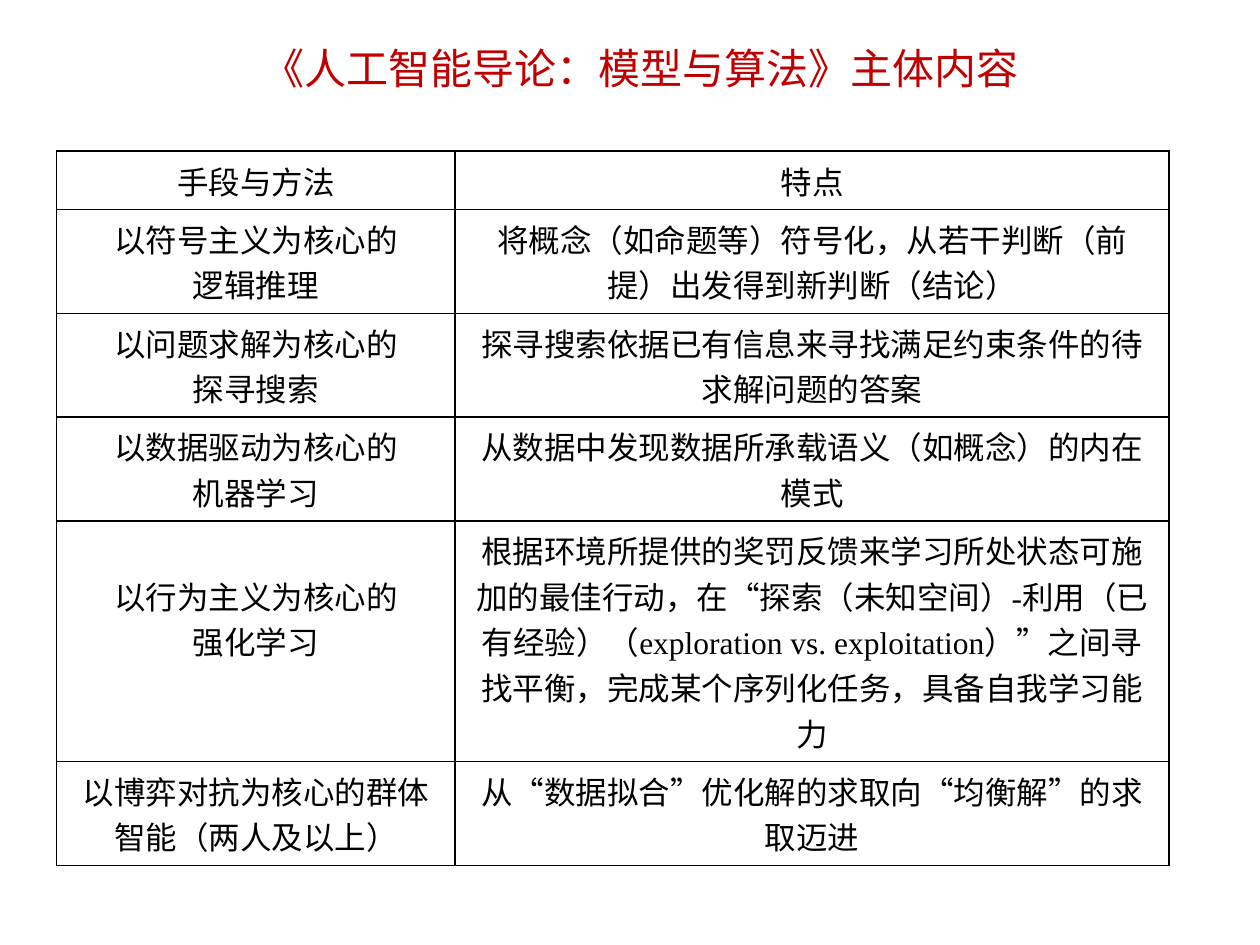
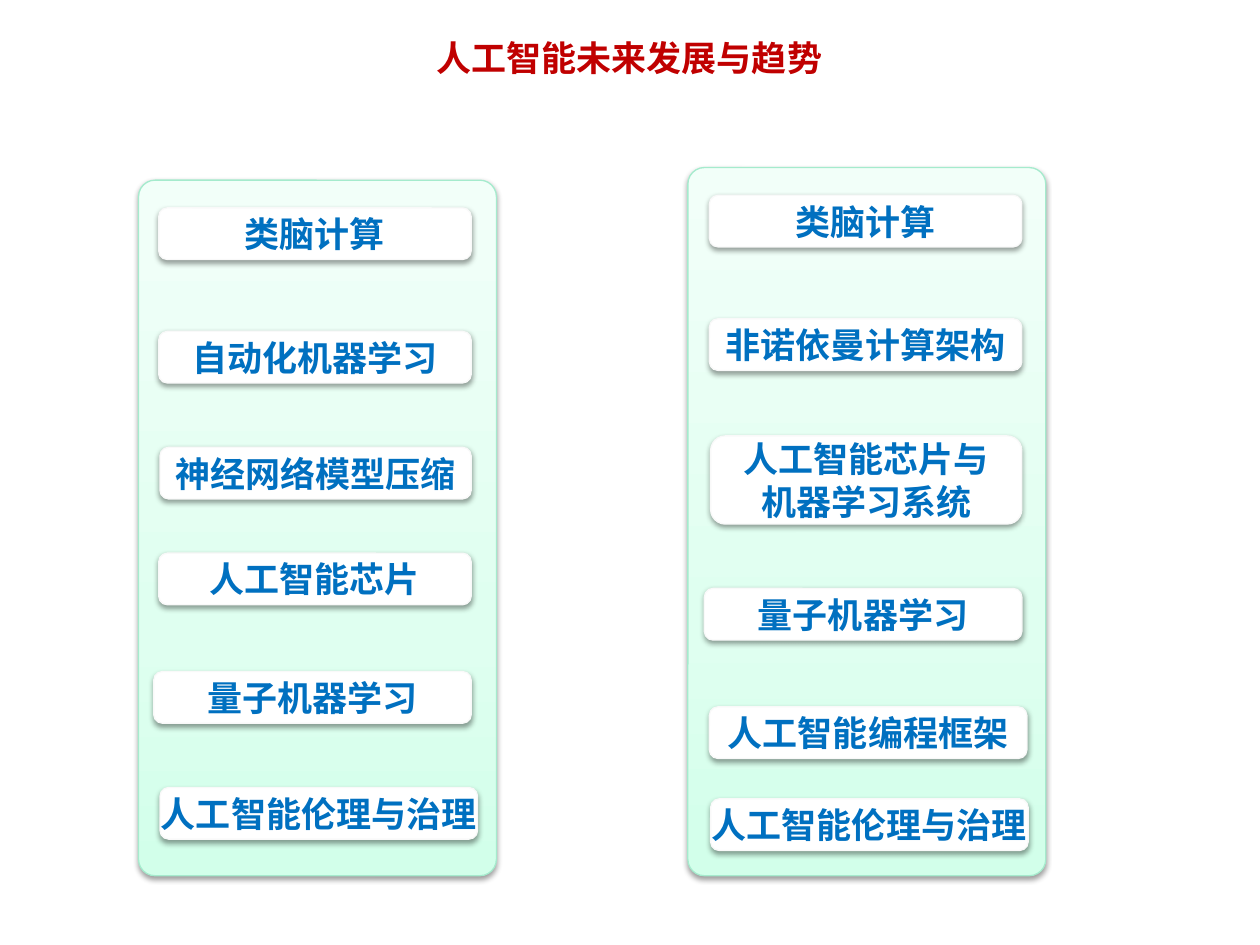
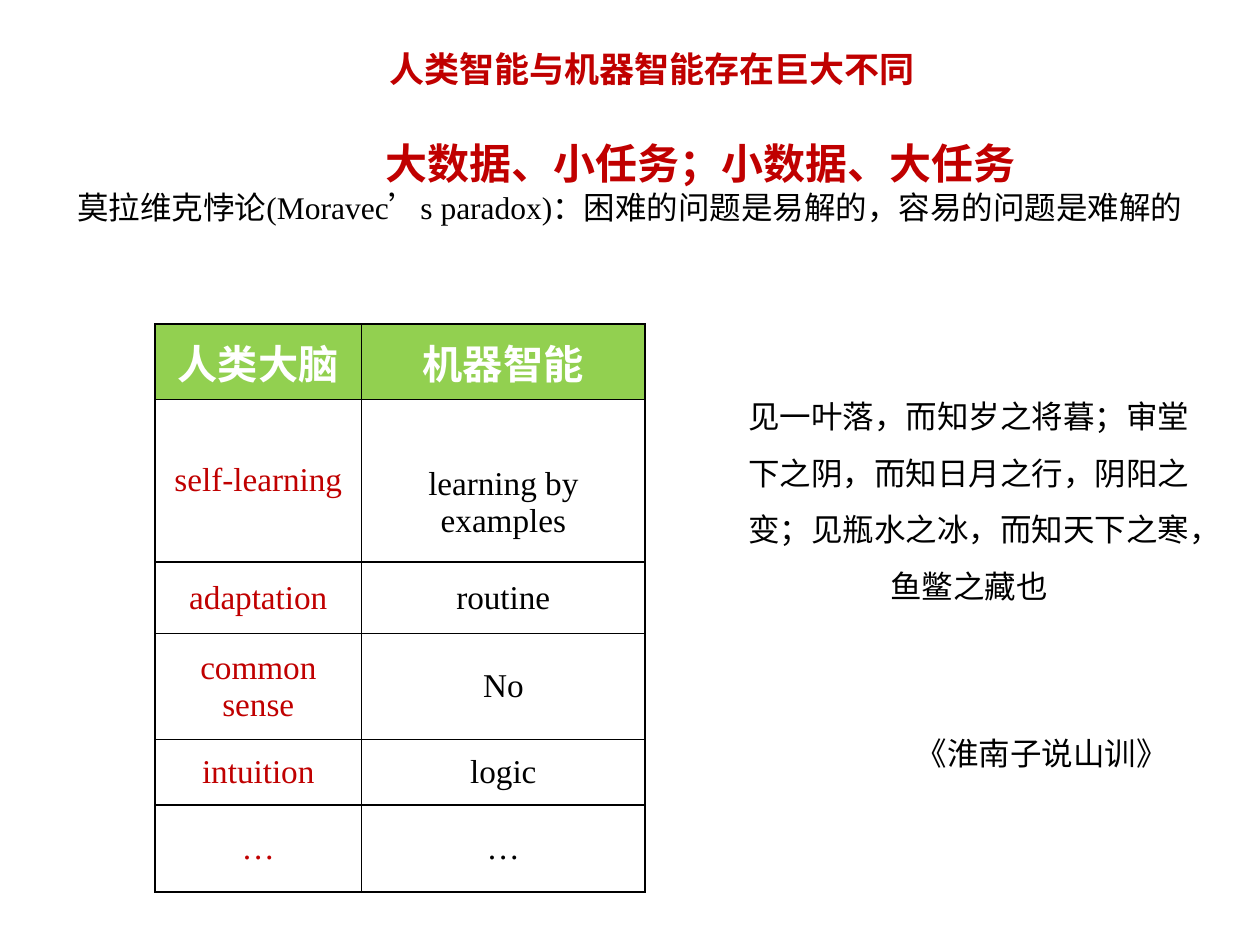
from copy import deepcopy
from dataclasses import dataclass

from pptx import Presentation
from pptx.dml.color import RGBColor
from pptx.enum.shapes import MSO_SHAPE
from pptx.enum.text import MSO_ANCHOR, MSO_AUTO_SIZE, PP_ALIGN
from pptx.oxml import parse_xml
from pptx.oxml.ns import nsdecls, qn
from pptx.util import Emu, Pt

SCALE = 9144  # EMU in one px, at 100 px to the inch


@dataclass(frozen=True)
class Theme:
    red: str = "C00000"
    blue: str = "0070C0"
    black: str = "000000"
    white: str = "FFFFFF"
    green: str = "92D050"
    edge: str = "F9F9F9"
    mint: str = "A5EBCD"
    fade: tuple = ((0, "D2FFEA"), (0.35, "DFFFF0"), (1, "F2FFF9"))
    latin: str = "Times New Roman"
    asian: str = "Noto Sans CJK SC"
    big: int = 24
    head: int = 23
    mid: int = 20
    cell: int = 19
    body: int = 18


THEME = Theme()

METHODS = [
    ("手段与方法", "特点"),
    ("以符号主义为核心的\n逻辑推理",
     "将概念（如命题等）符号化，从若干判断（前提）出发得到新判断（结论）"),
    ("以问题求解为核心的\n探寻搜索",
     "探寻搜索依据已有信息来寻找满足约束条件的待求解问题的答案"),
    ("以数据驱动为核心的\n机器学习",
     "从数据中发现数据所承载语义（如概念）的内在模式"),
    ("以行为主义为核心的\n强化学习",
     "根据环境所提供的奖罚反馈来学习所处状态可施加的最佳行动，"
     "在“探索（未知空间）-利用（已有经验）"
     "（exploration vs. exploitation）”之间寻找平衡，"
     "完成某个序列化任务，具备自我学习能力"),
    ("以博弈对抗为核心的群体智能（两人及以上）",
     "从“数据拟合”优化解的求取向“均衡解”的求取迈进"),
]

MINDS = [
    ("人类大脑", "机器智能"),
    ("self-learning", "learning by examples"),
    ("adaptation", "routine"),
    ("common sense", "No"),
    ("intuition", "logic"),
    ("…", "…"),
]

# Each topic: text, left, top, width, height
TOPICS = [
    ("类脑计算", 126, 165, 248, 41),
    ("自动化机器学习", 126, 263, 248, 41),
    ("神经网络模型压缩", 127, 355, 247, 41),
    ("人工智能芯片", 126, 439, 248, 41),
    ("量子机器学习", 122, 533, 252, 41),
    ("人工智能伦理与治理", 127, 625, 252, 41),
    ("类脑计算", 563, 155, 248, 41),
    ("非诺依曼计算架构", 563, 253, 248, 41),
    ("人工智能芯片与\n机器学习系统", 564, 346, 247, 70),
    ("量子机器学习", 559, 467, 252, 41),
    ("人工智能编程框架", 563, 561, 252, 41),
    ("人工智能伦理与治理", 564, 634, 252, 41),
]


def px(count):
    return Emu(count * SCALE)


def rgb(code):
    return RGBColor.from_string(code)


def style(para, size, color, bold=False, face=THEME.latin, align=PP_ALIGN.CENTER):
    para.alignment = align
    for run in para.runs:
        font = run.font
        font.size, font.bold, font.name = Pt(size), bold, face
        font.color.rgb = rgb(color)
        asian = parse_xml(f'<a:ea {nsdecls("a")} typeface="{THEME.asian}"/>')
        run.font._element.find(qn("a:latin")).addnext(asian)


def write(frame, text, *look, **more):
    frame.text = text
    for para in frame.paragraphs:
        style(para, *look, **more)


def place(shape, left, top, width, height):
    shape.left, shape.top = px(left), px(top)
    shape.width, shape.height = px(width), px(height)


def add_page(deck, title, spot, size, bold=True, inset=16, spacing=0.9):
    """Add a title-only slide and format its title."""
    page = deck.slides.add_slide(deck.slide_layouts[5])
    shape = page.shapes.title
    place(shape, *spot)
    frame = shape.text_frame
    write(frame, title, size, THEME.red, bold)
    frame.auto_size = MSO_AUTO_SIZE.NONE
    frame.vertical_anchor = MSO_ANCHOR.MIDDLE
    frame.margin_top = px(inset)
    frame.paragraphs[0].line_spacing = spacing
    return page


def add_text(page, spot, text, *look, wrap=True, **more):
    box = page.shapes.add_textbox(*map(px, spot))
    box.text_frame.word_wrap = wrap
    write(box.text_frame, text, *look, **more)
    return box.text_frame


def edge_cell(cell):
    """Draw a one-point black border on all four sides."""
    props = cell._tc.get_or_add_tcPr()
    for spot, side in enumerate("LRTB"):
        props.insert(spot, parse_xml(
            f'<a:ln{side} {nsdecls("a")} w="12700"><a:solidFill>'
            f'<a:srgbClr val="{THEME.black}"/></a:solidFill></a:ln{side}>'))


def add_grid(page, left, top, widths, heights, rows, look):
    """Add a bordered table; look(row, col) gives fill, size, colour and bold."""
    table = page.shapes.add_table(
        len(rows), len(widths), px(left), px(top),
        px(sum(widths)), px(sum(heights))).table
    table.first_row = table.horz_banding = False
    for col, width in zip(table.columns, widths):
        col.width = px(width)
    for row, height in zip(table.rows, heights):
        row.height = px(height)
    for r, texts in enumerate(rows):
        for c, text in enumerate(texts):
            cell = table.cell(r, c)
            fill, *font = look(r, c)
            write(cell.text_frame, text, *font)
            if fill:
                cell.fill.solid()
                cell.fill.fore_color.rgb = rgb(fill)
            else:
                cell.fill.background()
            edge_cell(cell)
    return table


def add_card(page, spot, edge):
    """Add a rounded box with a thin edge and a soft shadow below it."""
    card = page.shapes.add_shape(MSO_SHAPE.ROUNDED_RECTANGLE, *map(px, spot))
    card.line.color.rgb = rgb(edge)
    card.line.width = Pt(0.75)
    card.shadow.inherit = False
    card._element.spPr.find(qn("a:effectLst")).append(parse_xml(
        f'<a:outerShdw {nsdecls("a")} blurRad="40000" dist="20000" '
        f'dir="5400000" rotWithShape="0"><a:srgbClr val="{THEME.black}">'
        '<a:alpha val="38000"/></a:srgbClr></a:outerShdw>'))
    return card


def add_panel(page, *spot):
    panel = add_card(page, spot, THEME.mint)
    panel.adjustments[0] = 0.046
    panel.fill.gradient()
    panel.fill.gradient_angle = 90
    stops = panel._element.spPr.find(".//" + qn("a:gsLst"))
    stops.append(deepcopy(stops[0]))
    for stop, (spot, color) in zip(panel.fill.gradient_stops, THEME.fade):
        stop.position = spot
        stop.color.rgb = rgb(color)


def add_topic(page, text, *spot):
    card = add_card(page, spot, THEME.edge)
    card.fill.solid()
    card.fill.fore_color.rgb = rgb(THEME.white)
    frame = card.text_frame
    write(frame, text, THEME.mid, THEME.blue, True)
    frame.word_wrap = False
    frame.vertical_anchor = MSO_ANCHOR.MIDDLE
    frame.margin_top = frame.margin_bottom = 0


def method_look(row, col):
    return None, THEME.body, THEME.black


def mind_look(row, col):
    if row == 0:
        return THEME.green, THEME.head, THEME.white, True
    return None, THEME.cell, THEME.black if col else THEME.red


def show_methods(deck):
    page = add_page(deck, "《人工智能导论：模型与算法》主体内容",
                    (51, 15, 915, 72), THEME.big, bold=False)
    table = add_grid(page, 45, 120, (316, 567), (45, 79, 79, 79, 180, 79),
                     METHODS, method_look)
    table.cell(4, 0).margin_top = px(41)


def show_trends(deck):
    page = add_page(deck, "人工智能未来发展与趋势", (5, 0, 989, 91),
                    THEME.mid, inset=5, spacing=1.0)
    add_panel(page, 110, 143, 284, 552)
    add_panel(page, 546, 133, 284, 562)
    for topic in TOPICS:
        add_topic(page, *topic)


def show_minds(deck):
    page = add_page(deck, "人类智能与机器智能存在巨大不同",
                    (60, 15, 915, 72), THEME.mid)
    table = add_grid(page, 123, 257, (164, 225), (60, 129, 57, 84, 52, 69),
                     MINDS, mind_look)
    for cell in table.iter_cells():
        cell.vertical_anchor = MSO_ANCHOR.MIDDLE
    table.cell(1, 1).margin_top = px(40)

    quote = add_text(
        page, (576, 295, 386, 192),
        "见一叶落，而知岁之将暮；审堂下之阴，而知日月之行，阴阳之变；"
        "见瓶水之冰，而知天下之寒，鱼鳖之藏也",
        THEME.body, THEME.black, face=THEME.asian)
    quote.paragraphs[0].line_spacing = 1.5
    add_text(page, (717, 578, 222, 40), "《淮南子说山训》", THEME.body,
             THEME.black, wrap=False, align=PP_ALIGN.LEFT)

    claim = add_text(
        page, (0, 104, 1000, 94),
        "大数据、小任务；小数据、大任务\n"
        "莫拉维克悖论(Moravec’s paradox)：困难的问题是易解的，容易的问题是难解的",
        THEME.body, THEME.black)
    lead = claim.paragraphs[0]
    for run in lead.runs:
        run.font.size, run.font.bold = Pt(THEME.big), True
        run.font.name = THEME.asian
        run.font.color.rgb = rgb(THEME.red)
    lead._p.get_or_add_pPr().set("marL", str(px(112)))


def main():
    deck = Presentation()
    deck.slide_width, deck.slide_height = px(1000), px(750)
    show_methods(deck)
    show_trends(deck)
    show_minds(deck)
    deck.save("out.pptx")


if __name__ == "__main__":
    main()
